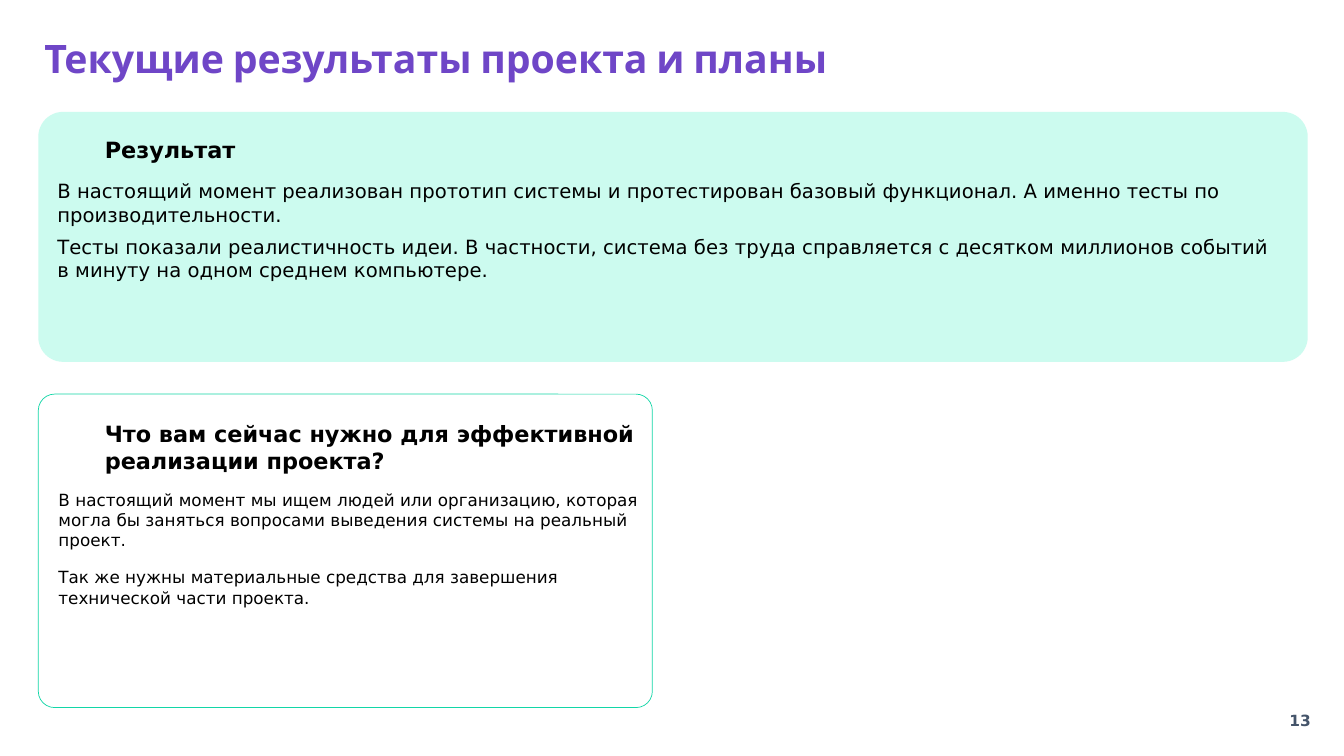
from dataclasses import dataclass

from lxml import etree
from pptx import Presentation
from pptx.dml.color import RGBColor
from pptx.enum.shapes import MSO_SHAPE
from pptx.enum.text import MSO_ANCHOR, MSO_AUTO_SIZE, PP_ALIGN
from pptx.oxml.ns import qn
from pptx.slide import Slide
from pptx.text.text import TextFrame
from pptx.util import Emu, Pt

ROUNDED = MSO_SHAPE.ROUNDED_RECTANGLE
MIDDLE = MSO_ANCHOR.MIDDLE
LEFT, CENTER = PP_ALIGN.LEFT, PP_ALIGN.CENTER
GROW, FIXED = MSO_AUTO_SIZE.SHAPE_TO_FIT_TEXT, MSO_AUTO_SIZE.NONE
EMU_PER_PX = 9144
TITLE_ONLY = 5


@dataclass(frozen=True)
class Style:
    size: int
    color: str = "000000"
    bold: bool = False
    font: str = "DejaVu Sans"
    line_spacing: float = 1.0
    before: int = 0
    after: int = 0
    align: PP_ALIGN = LEFT


@dataclass(frozen=True)
class Theme:
    mint: str = "CCFBEF"
    green: str = "12D6A7"
    white: str = "FFFFFF"
    title: Style = Style(28, "6F46C7", True, "Cabin", 0.9)
    result_heading: Style = Style(16, bold=True, line_spacing=1.25)
    needs_heading: Style = Style(16, bold=True)
    result_body: Style = Style(14, before=6)
    needs_body: Style = Style(12, before=6, after=6)
    page: Style = Style(11, "44546A", True, align=CENTER)


@dataclass(frozen=True)
class Box:
    left: int
    top: int
    width: int
    height: int

    def emu(self) -> tuple[Emu, Emu, Emu, Emu]:
        return px(self.left), px(self.top), px(self.width), px(self.height)


@dataclass(frozen=True)
class Card:
    box: Box
    corner: float
    fill: str
    opacity: int = 100
    outline: str | None = None


@dataclass(frozen=True)
class Passage:
    box: Box
    indent: int
    style: Style
    paragraphs: tuple[str, ...]


THEME = Theme()
TITLE = "Текущие результаты проекта и планы"
TITLE_BOX = Box(34, 38, 1110, 45)
PAGE_BOX = Box(1259, 695, 61, 40)
CARDS = (
    Card(Box(38, 391, 609, 311), 0.052, THEME.white, 60, THEME.green),
    Card(Box(38, 111, 1259, 248), 0.099, THEME.mint),
)
PASSAGES = (
    Passage(Box(56, 177, 1217, 104), 1, THEME.result_body, (
        "В настоящий момент реализован прототип системы и протестирован "
        "базовый функционал. А именно тесты по производительности.",
        "Тесты показали реалистичность идеи. В частности, система без труда "
        "справляется с десятком миллионов событий в минуту на одном среднем "
        "компьютере.",
    )),
    Passage(Box(101, 127, 565, 31), 3, THEME.result_heading, ("Результат",)),
    Passage(Box(56, 485, 591, 119), 2, THEME.needs_body, (
        "В настоящий момент мы ищем людей или организацию, которая могла бы "
        "заняться вопросами выведения системы на реальный проект.",
        "Так же нужны материальные средства для завершения технической части "
        "проекта.",
    )),
    Passage(Box(101, 416, 546, 55), 3, THEME.needs_heading, (
        "Что вам сейчас нужно для эффективной реализации проекта?",
    )),
)


def px(length: int) -> Emu:
    return Emu(length * EMU_PER_PX)


def rgb(color: str) -> RGBColor:
    return RGBColor.from_string(color)


def write(frame: TextFrame, paragraphs: tuple[str, ...], style: Style) -> None:
    frame.word_wrap = True
    frame.text = "\n".join(paragraphs)
    for order, paragraph in enumerate(frame.paragraphs):
        paragraph.alignment = style.align
        paragraph.line_spacing = style.line_spacing
        paragraph.space_before = Pt(style.before if order else 0)
        paragraph.space_after = Pt(style.after)
        for run in paragraph.runs:
            run.font.name = style.font
            run.font.size = Pt(style.size)
            run.font.bold = style.bold
            run.font.color.rgb = rgb(style.color)


def add_title(slide: Slide) -> None:
    heading = slide.shapes.title
    heading.left, heading.top, heading.width, heading.height = TITLE_BOX.emu()
    write(heading.text_frame, (TITLE,), THEME.title)
    heading.text_frame.auto_size = FIXED
    heading.text_frame.vertical_anchor = MIDDLE


def add_card(slide: Slide, card: Card) -> None:
    panel = slide.shapes.add_shape(ROUNDED, *card.box.emu())
    panel.shadow.inherit = False
    panel.adjustments[0] = card.corner
    panel.fill.solid()
    panel.fill.fore_color.rgb = rgb(card.fill)
    if card.opacity < 100:
        tint = panel.fill._xPr.find(qn("a:solidFill"))[0]
        etree.SubElement(tint, qn("a:alpha"), val=str(card.opacity * 1000))
    if card.outline:
        panel.line.color.rgb = rgb(card.outline)
        panel.line.width = Pt(0.5)
    else:
        panel.line.fill.background()


def add_passage(slide: Slide, passage: Passage) -> None:
    frame = slide.shapes.add_textbox(*passage.box.emu()).text_frame
    frame.margin_left, frame.margin_top = px(passage.indent), px(1)
    frame.margin_right = frame.margin_bottom = 0
    write(frame, passage.paragraphs, passage.style)
    frame.auto_size = GROW


def add_page_number(slide: Slide) -> None:
    frame = slide.shapes.add_textbox(*PAGE_BOX.emu()).text_frame
    frame.vertical_anchor = MIDDLE
    write(frame, ("13",), THEME.page)


def main() -> None:
    deck = Presentation()
    deck.slide_width, deck.slide_height = px(1333), px(750)
    slide = deck.slides.add_slide(deck.slide_layouts[TITLE_ONLY])
    add_title(slide)
    for card in CARDS:
        add_card(slide, card)
    for passage in PASSAGES:
        add_passage(slide, passage)
    add_page_number(slide)
    deck.save("out.pptx")


if __name__ == "__main__":
    main()
